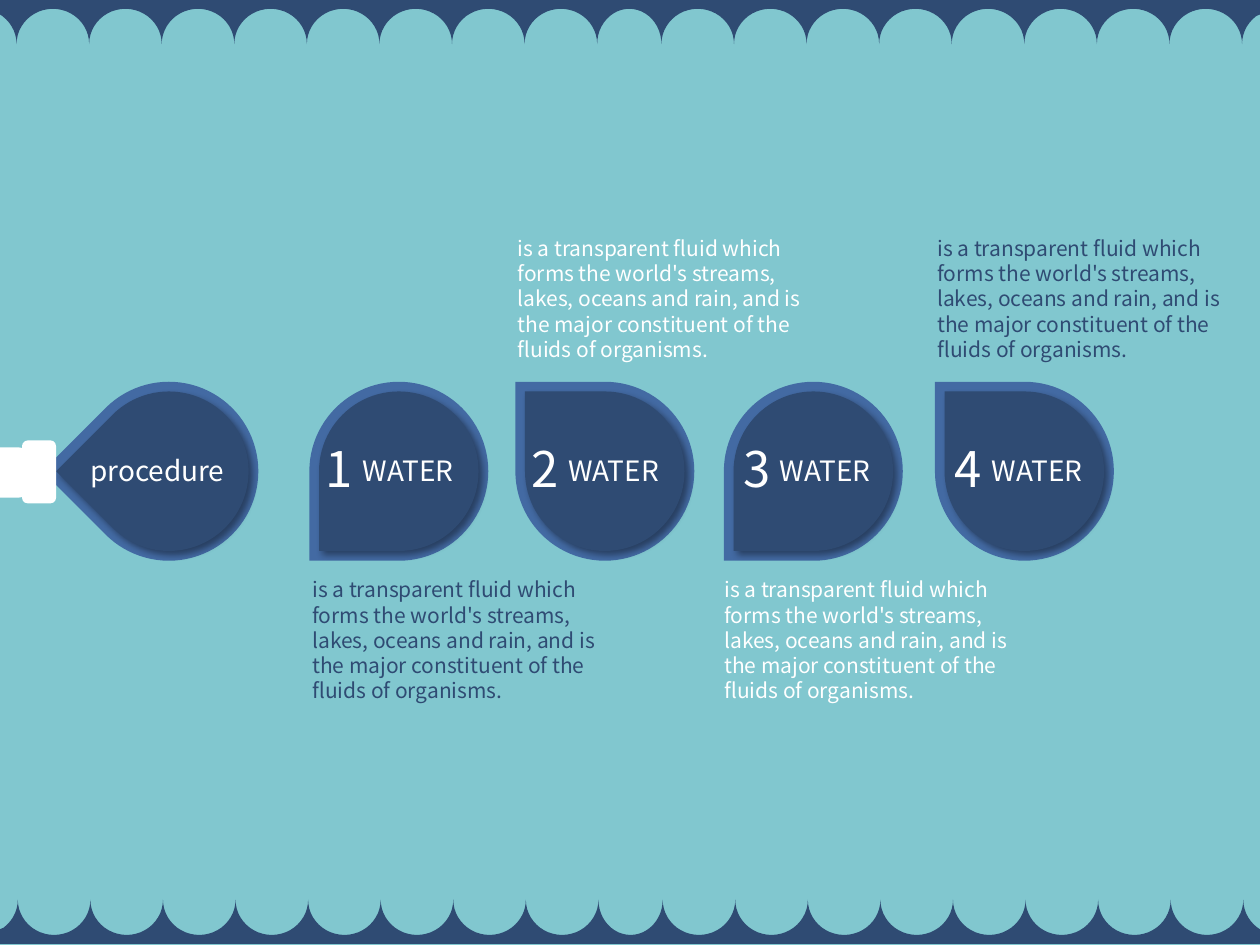
from math import cos, pi, sin

from lxml.etree import SubElement
from pptx import Presentation
from pptx.dml.color import RGBColor
from pptx.enum.shapes import MSO_SHAPE
from pptx.enum.text import MSO_AUTO_SIZE, PP_ALIGN
from pptx.oxml.ns import qn
from pptx.util import Inches, Pt

COLORS = {"sea": "81C7CF", "navy": "2F4B73", "blue": "436AA3", "white": "FFFFFF", "black": "000000"}
COLS, ROWS = 100, 75
FACT = ("is a transparent fluid which forms the world's streams, lakes, oceans and rain, "
        "and is the major constituent of the fluids of organisms.")
STEPS = [
    (24.55, 24.1, 23.8, "navy"),
    (40.9, 40.4, 40.1, "white"),
    (57.45, 57.2, 56.5, "white"),
    (74.2, 74, 73.4, "navy"),
]


class Page:
    font = "Noto Sans CJK KR"

    def __init__(self, deck):
        self.cell_w = deck.slide_width / COLS
        self.cell_h = deck.slide_height / ROWS
        self.slide = deck.slides.add_slide(deck.slide_layouts[6])
        self.paint(self.slide.background.fill, "sea")

    def paint(self, fill, color):
        fill.solid()
        fill.fore_color.rgb = RGBColor.from_string(COLORS[color])

    def place(self, col, row, wide, high):
        return (round(col * self.cell_w), round(row * self.cell_h),
                round(wide * self.cell_w), round(high * self.cell_h))

    def finish(self, shape, color):
        self.paint(shape.fill, color)
        shape.line.fill.background()
        shape.shadow.inherit = False
        return shape

    def shape(self, kind, box, color, turn=0):
        shape = self.slide.shapes.add_shape(kind, *self.place(*box))
        shape.rotation = turn
        return self.finish(shape, color)

    def shade(self, shape):
        effects = shape._element.spPr.find(qn("a:effectLst"))
        outer = SubElement(effects, qn("a:outerShdw"), blurRad=str(Pt(4)), dist=str(Pt(3)),
                           dir="2700000", algn="tl", rotWithShape="0")
        tint = SubElement(outer, qn("a:srgbClr"), val=COLORS["black"])
        SubElement(tint, qn("a:alpha"), val="40000")

    def drop(self, col, turn):
        self.shape(MSO_SHAPE.TEAR, (col, 30.3, 14.2, 14.2), "blue", turn)
        inner = self.shape(MSO_SHAPE.TEAR, (col + 0.77, 31.07, 12.66, 12.66), "navy", turn)
        self.shade(inner)

    def text(self, words, box, size, color="white", align=PP_ALIGN.CENTER):
        frame = self.slide.shapes.add_textbox(*self.place(*box)).text_frame
        frame.word_wrap = True
        frame.auto_size = MSO_AUTO_SIZE.SHAPE_TO_FIT_TEXT
        frame.text = words
        line = frame.paragraphs[0]
        line.alignment = align
        for run in line.runs:
            run.font.name = self.font
            run.font.size = Pt(size)
            run.font.color.rgb = RGBColor.from_string(COLORS[color])

    def waves(self, shift, edge, sign):
        tips = [mid + side * step * 5.76 + shift
                for mid, side in ((47.4, -1), (52.5, 1)) for step in range(10)]
        tips.sort()
        curve = []
        for left, right in zip(tips, tips[1:]):
            half = (right - left) / 2
            for step in range(25):
                angle = pi * step / 24
                curve.append((left + half * (1 - cos(angle)), 3.5 - 2.8 * sin(angle)))
        curve = [spot for spot in curve if 0 < spot[0] < COLS]
        spots = [(0, 0), (0, 1.15), *curve, (COLS, 1.15), (COLS, 0)]
        spots = [(x * self.cell_w, (edge + sign * y) * self.cell_h) for x, y in spots]
        path = self.slide.shapes.build_freeform(*spots[0])
        path.add_line_segments(spots[1:], close=True)
        self.finish(path.convert_to_shape(), "navy")


def main():
    deck = Presentation()
    deck.slide_width, deck.slide_height = Inches(10), Inches(7.5)
    page = Page(deck)

    page.drop(6.3, 225)
    pipe = page.shape(MSO_SHAPE.ROUNDED_RECTANGLE, (-1.8, 35.5, 5.1, 4), "white", 180)
    pipe.adjustments[0] = 0.5
    page.shape(MSO_SHAPE.ROUNDED_RECTANGLE, (0.6, 36.1, 5, 2.7), "white", 270)
    page.text("procedure", (5, 35.5, 15, 3.7), 16)

    for count, (drop, label, note, color) in enumerate(STEPS, 1):
        below = count % 2 == 1
        page.drop(drop, 180 if below else 270)
        page.text(str(count), (label, 34.3, 5.7, 5.7), 28)
        page.text("WATER", (label + 2.8, 35.5, 11, 3.7), 16)
        page.text(FACT, (note, 45.3 if below else 18.2, 24.5, 11.1), 12, color, PP_ALIGN.LEFT)

    page.waves(0, 0, 1)
    page.waves(0.1, 74.9, -1)
    deck.save("out.pptx")


if __name__ == "__main__":
    main()
